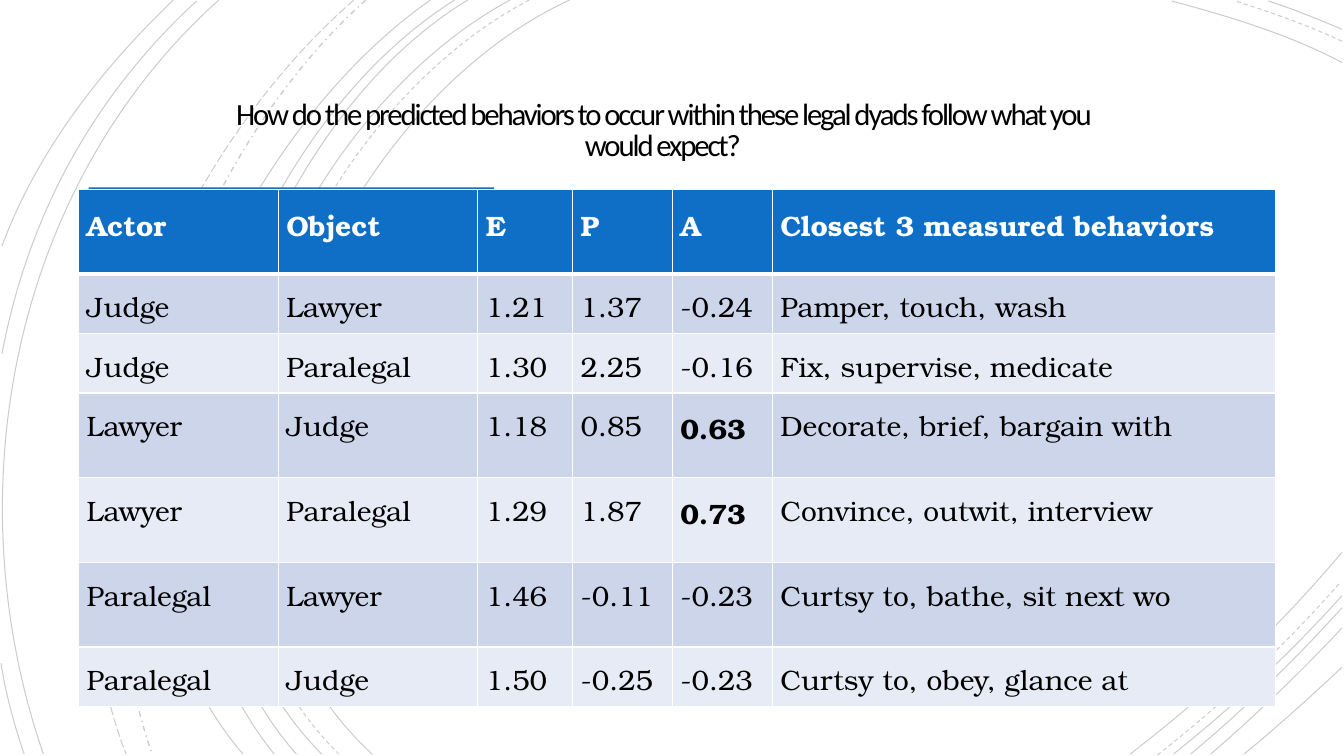
import pptx
import pptx.util
import pptx.dml.color
import pptx.enum.dml
import pptx.enum.shapes
import pptx.enum.text
import pptx.oxml.ns
import lxml.etree

Inches = pptx.util.Inches
RGBColor = pptx.dml.color.RGBColor
Dash = pptx.enum.dml.MSO_LINE
qn = pptx.oxml.ns.qn

BLACK = RGBColor(0x00, 0x00, 0x00)
WHITE = RGBColor(0xFF, 0xFF, 0xFF)
BLUE = RGBColor(0x0F, 0x6F, 0xC6)
BAND_DARK = RGBColor(0xCC, 0xD5, 0xEA)
BAND_LIGHT = RGBColor(0xE7, 0xEB, 0xF5)

TITLE = "How do the predicted behaviors to occur within these legal dyads follow what you would expect?"

# Background arcs: start, two control points, end (x, y pairs in inches)
SOLID_ARCS = [
    (5.65, 0, 3.15, 1.15, 1.43, 5.4, 3.69, 7.48),
    (13.31, 0.62, 12.78, 0.34, 12.18, 0.16, 11.62, 0.01),
    (11.21, 7.48, 11.97, 6.9, 12.69, 6.22, 13.31, 5.48),
    (5.06, 0, 2.7, 1.27, 1.1, 5.37, 3.19, 7.48),
    (13.31, 0.29, 13.07, 0.19, 12.83, 0.09, 12.58, 0.01),
    (11.64, 7.48, 12.23, 7.01, 12.8, 6.48, 13.31, 5.91),
    (4.64, 0, 2.44, 1.33, 1.1, 5.41, 2.94, 7.48),
    (11.81, 7.48, 12.34, 7.04, 12.84, 6.55, 13.31, 6.03),
    (4.51, 0, 2.31, 1.38, 0.97, 5.33, 2.72, 7.48),
    (12.01, 7.48, 12.46, 7.09, 12.9, 6.67, 13.31, 6.23),
    (4.27, 0, 2.17, 1.47, 0.53, 5.29, 2.41, 7.48),
    (12.34, 7.48, 12.67, 7.21, 12.99, 6.92, 13.31, 6.62),
    (2.17, 0, 0.11, 1.85, -0.46, 4.9, 0.43, 7.48),
    (1.95, 0.01, 0.92, 0.96, 0.28, 2.14, 0.02, 3.51),
    (0.01, 6.58, 0.06, 6.89, 0.14, 7.19, 0.24, 7.48),
    (1.72, 0, 1, 0.69, 0.37, 1.5, 0.02, 2.44),
]
DASHED_ARCS = [
    (5.25, 0, 2.85, 1.25, 1.23, 5.37, 3.36, 7.48),
    (13.31, 0.41, 12.97, 0.25, 12.6, 0.12, 12.25, 0.01),
    (11.48, 7.49, 12.13, 6.98, 12.75, 6.4, 13.3, 5.77),
]
DASH_DOT_ARCS = [(3.63, 0, 1.76, 1.66, 0.65, 5.09, 1.51, 7.48)]
LONG_DASH_ARCS = [(3.51, 0, 1.57, 1.69, 0.29, 4.99, 1.25, 7.48)]
ARC_STYLES = [
    (SOLID_ARCS, Dash.SOLID, 0.75),
    (DASHED_ARCS, Dash.DASH, 0.75),
    (DASH_DOT_ARCS, Dash.DASH_DOT, 1),
    (LONG_DASH_ARCS, Dash.LONG_DASH, 0.75),
]

COLUMN_WIDTHS = [1.98, 1.98, 0.94, 0.99, 0.99, 4.99]
ROW_HEIGHTS = [0.84, 0.53, 0.53, 0.84, 0.84, 0.84, 0.53]
ROWS = [
    ("Actor", "Object", "E", "P", "A", "Closest 3 measured behaviors"),
    ("Judge", "Lawyer", "1.21", "1.37", "-0.24", "Pamper, touch, wash"),
    ("Judge", "Paralegal", "1.30", "2.25", "-0.16", "Fix, supervise, medicate"),
    ("Lawyer", "Judge", "1.18", "0.85", "0.63", "Decorate, brief, bargain with"),
    ("Lawyer", "Paralegal", "1.29", "1.87", "0.73", "Convince, outwit, interview"),
    ("Paralegal", "Lawyer", "1.46", "-0.11", "-0.23", "Curtsy to, bathe, sit next wo"),
    ("Paralegal", "Judge", "1.50", "-0.25", "-0.23", "Curtsy to, obey, glance at"),
]
BOLD_VALUES = {"0.63", "0.73"}


def add_arc(page, arc):
    """Add an open freeform that holds one cubic curve."""
    points = []
    for step in range(21):
        t = step / 20
        weights = ((1 - t) ** 3, 3 * t * (1 - t) ** 2, 3 * t ** 2 * (1 - t), t ** 3)
        points.append([Inches(sum(w * v for w, v in zip(weights, arc[axis::2]))) for axis in (0, 1)])
    builder = page.shapes.build_freeform(*points[0], scale=1.0)
    builder.add_line_segments(points[1:], close=False)
    shape = builder.convert_to_shape()
    # The sampled points set the frame; one curve replaces the segments
    outline = shape.element.find(".//" + qn("a:path"))
    for segment in outline.findall(qn("a:lnTo")):
        outline.remove(segment)
    bezier = lxml.etree.SubElement(outline, qn("a:cubicBezTo"))
    for x, y in zip(arc[2::2], arc[3::2]):
        point = lxml.etree.SubElement(bezier, qn("a:pt"))
        point.set("x", str(Inches(x) - shape.left))
        point.set("y", str(Inches(y) - shape.top))
    return shape


def set_border(cell, side, width):
    """Give one side of a table cell a white line."""
    properties = cell._tc.get_or_add_tcPr()
    line = lxml.etree.SubElement(properties, qn("a:ln" + side))
    line.set("w", str(int(pptx.util.Pt(width))))
    fill = lxml.etree.SubElement(line, qn("a:solidFill"))
    lxml.etree.SubElement(fill, qn("a:srgbClr")).set("val", str(WHITE))


deck = pptx.Presentation()
deck.slide_width = Inches(13.33)
deck.slide_height = Inches(7.5)
page = deck.slides.add_slide(deck.slide_layouts[5])
page.background.fill.solid()
page.background.fill.fore_color.rgb = WHITE

# Faint arcs
for arcs, dash, width in ARC_STYLES:
    for arc in arcs:
        curve = add_arc(page, arc)
        curve.shadow.inherit = False
        curve.fill.background()
        curve.line.color.rgb = BLACK
        curve.line.width = pptx.util.Pt(width)
        curve.line.dash_style = dash
        color = curve.element.spPr.find(".//" + qn("a:srgbClr"))
        lxml.etree.SubElement(color, qn("a:alpha")).set("val", "20000")

# Blue panel whose top edge shows above the table
panel = page.shapes.add_shape(
    pptx.enum.shapes.MSO_SHAPE.RECTANGLE, Inches(0.88), Inches(1.86), Inches(4.02), Inches(0.55))
panel.shadow.inherit = False
panel.fill.solid()
panel.fill.fore_color.rgb = BLUE
panel.line.fill.background()

# Title, brought in front of the arcs
title = page.shapes.title
title.element.getparent().append(title.element)
title.left, title.top = Inches(1.83), Inches(0.73)
title.width, title.height = Inches(9.49), Inches(1.15)
frame = title.text_frame
frame.word_wrap = True
frame.auto_size = pptx.enum.text.MSO_AUTO_SIZE.NONE
frame.vertical_anchor = pptx.enum.text.MSO_ANCHOR.MIDDLE
frame.margin_left = frame.margin_right = Inches(0.25)
frame.margin_top = frame.margin_bottom = Inches(0.25)
para = frame.paragraphs[0]
para.alignment = pptx.enum.text.PP_ALIGN.CENTER
para.line_spacing = 0.85
span = para.add_run()
span.text = TITLE
span.font.size = pptx.util.Pt(22)
span.font.name = "Calibri"
span.font.color.rgb = BLACK
span.font._element.set("spc", "-150")

# Table of dyads
table = page.shapes.add_table(
    len(ROWS), len(COLUMN_WIDTHS), Inches(0.78), Inches(1.88),
    Inches(sum(COLUMN_WIDTHS)), Inches(sum(ROW_HEIGHTS))).table
for column, width in zip(table.columns, COLUMN_WIDTHS):
    column.width = Inches(width)
for row_index, values in enumerate(ROWS):
    table.rows[row_index].height = Inches(ROW_HEIGHTS[row_index])
    is_header = row_index == 0
    band = BLUE if is_header else BAND_DARK if row_index % 2 else BAND_LIGHT
    for column_index, value in enumerate(values):
        cell = table.cell(row_index, column_index)
        cell.margin_left = cell.margin_right = Inches(0.08)
        cell.margin_top = cell.margin_bottom = Inches(0.08)
        set_border(cell, "L", 1)
        set_border(cell, "R", 1)
        set_border(cell, "T", 3 if row_index == 1 else 1)
        set_border(cell, "B", 3 if is_header else 1)
        cell.fill.solid()
        cell.fill.fore_color.rgb = band
        para = cell.text_frame.paragraphs[0]
        para.line_spacing = 1.15
        span = para.add_run()
        span.text = value
        span.font.size = pptx.util.Pt(20)
        span.font.name = "TeX Gyre Bonum"
        span.font.bold = is_header or value in BOLD_VALUES
        span.font.color.rgb = WHITE if is_header else BLACK

deck.save("out.pptx")
